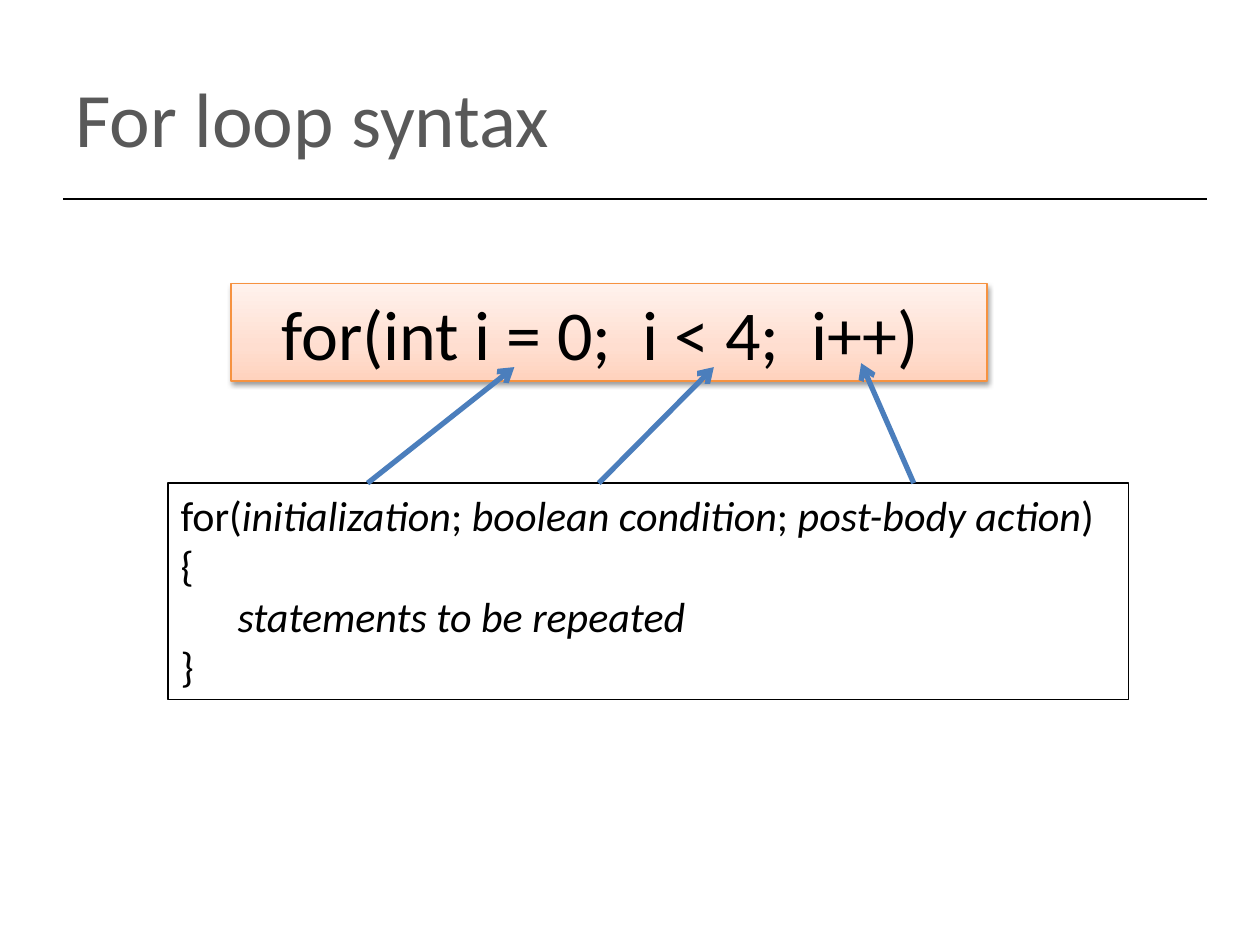
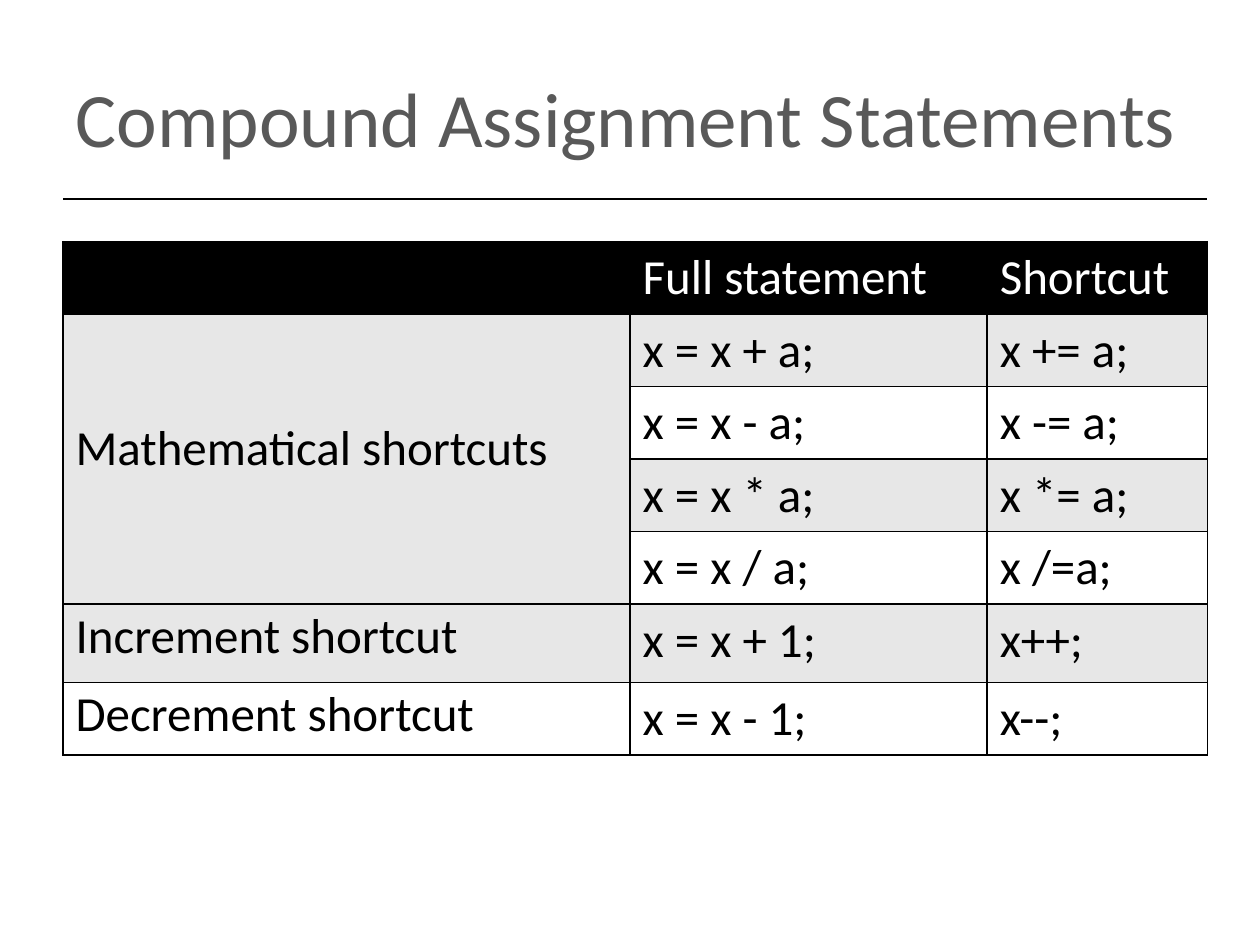
"""Build two slides on for loop syntax and compound assignment in Java."""
from copy import deepcopy

from lxml.etree import SubElement
from pptx import Presentation
from pptx.dml.color import RGBColor
from pptx.enum.shapes import MSO_CONNECTOR, MSO_SHAPE
from pptx.enum.text import MSO_ANCHOR, PP_ALIGN
from pptx.oxml import parse_xml
from pptx.oxml.ns import nsdecls, qn
from pptx.util import Cm, Pt

BLACK = RGBColor(0x00, 0x00, 0x00)
WHITE = RGBColor(0xFF, 0xFF, 0xFF)
TITLE_GRAY = RGBColor(0x59, 0x59, 0x59)
BAND_GRAY = RGBColor(0xE7, 0xE7, 0xE7)
ORANGE = RGBColor(0xF6, 0x92, 0x40)
ARROW_BLUE = RGBColor(0x4B, 0x7E, 0xBC)
PEACH_STOPS = [
    (0, RGBColor(0xFF, 0xD2, 0xBD)),
    (0.35, RGBColor(0xFF, 0xDE, 0xD0)),
    (1, RGBColor(0xFF, 0xF2, 0xED)),
]
FONT = "Calibri"
LEFT = 1.27
RULE_RIGHT = 24.34
RULE_TOP = 4.02

LOOP_TITLE = "For loop syntax"
LOOP_EXAMPLE = "for(int i = 0;  i < 4;  i++)"
LOOP_SYNTAX = [
    [("for(", False), ("initialization", True), ("; ", False),
     ("boolean condition", True), ("; ", False),
     ("post-body action", True), (")", False)],
    [("{", False)],
    [("statements to be repeated", True)],
    [("}", False)],
]
BODY_LINE = 2
EXAMPLE_BOX = (4.66, 5.72, 15.24, 1.96)
SYNTAX_BOX = (3.39, 9.74, 19.36, 4.37)
SYNTAX_ARROWS = [
    (7.41, 10.37, 7.4),
    (12.07, 14.39, 7.4),
    (18.42, 17.36, 7.32),
]

TABLE_TITLE = "Compound Assignment Statements"
STATEMENTS = [
    ("", "Full statement", "Shortcut"),
    ("Mathematical shortcuts", "x = x + a;", "x += a;"),
    ("", "x = x - a;", "x -= a;"),
    ("", "x = x * a;", "x *= a;"),
    ("", "x = x / a;", "x /=a;"),
    ("Increment shortcut", "x = x + 1;", "x++;"),
    ("Decrement shortcut", "x = x - 1;", "x--;"),
]
MATH_ROWS = (1, 4)
COLUMN_WIDTHS = [11.43, 7.2, 4.44]
ROW_HEIGHTS = [1.46] * 5 + [1.58, 1.46]
TABLE_TOP = 4.87


def format_font(font, size, color, italic=False):
    font.name = FONT
    font.size = Pt(size)
    font.bold = False
    font.italic = italic
    font.color.rgb = color


def add_line(slide, start, end, color, width):
    points = [Cm(value) for value in (*start, *end)]
    line = slide.shapes.add_connector(MSO_CONNECTOR.STRAIGHT, *points)
    line.line.color.rgb = color
    line.line.width = Pt(width)
    SubElement(line._element.spPr, qn("a:effectLst"))
    return line


def add_titled_slide(presentation, title_text):
    slide = presentation.slides.add_slide(presentation.slide_layouts[5])
    title = slide.shapes.title
    title.left, title.top = Cm(LEFT), Cm(0.76)
    title.width, title.height = Cm(22.86), Cm(3.18)
    title.text_frame.text = title_text
    title.text_frame.vertical_anchor = MSO_ANCHOR.MIDDLE
    paragraph = title.text_frame.paragraphs[0]
    paragraph.alignment = PP_ALIGN.LEFT
    format_font(paragraph.runs[0].font, 44, TITLE_GRAY)
    add_line(slide, (LEFT, RULE_TOP), (RULE_RIGHT, RULE_TOP), BLACK, 1)
    return slide


def add_box(slide, box, line_color):
    shape = slide.shapes.add_shape(MSO_SHAPE.RECTANGLE, *map(Cm, box))
    shape.shadow.inherit = False
    shape.line.color.rgb = line_color
    shape.line.width = Pt(0.75)
    return shape


def fill_peach_gradient(shape):
    shape.fill.gradient()
    shape.fill.gradient_angle = 90
    first = shape.fill.gradient_stops[0]._gs
    first.addnext(deepcopy(first))
    for stop, (position, color) in zip(shape.fill.gradient_stops, PEACH_STOPS):
        stop.position = position
        stop.color.rgb = color


def add_soft_shadow(shape):
    effects = shape._element.spPr.find(qn("a:effectLst"))
    effects.append(parse_xml(
        f'<a:outerShdw {nsdecls("a")} blurRad="{Pt(3.1)}" dist="{Pt(1.6)}" '
        'dir="5400000" rotWithShape="0"><a:srgbClr val="000000">'
        '<a:alpha val="38000"/></a:srgbClr></a:outerShdw>'))


def add_example(slide):
    shape = add_box(slide, EXAMPLE_BOX, ORANGE)
    fill_peach_gradient(shape)
    add_soft_shadow(shape)
    shape.text_frame.text = LOOP_EXAMPLE
    shape.text_frame.margin_right = Cm(0.61)
    paragraph = shape.text_frame.paragraphs[0]
    paragraph.alignment = PP_ALIGN.CENTER
    format_font(paragraph.runs[0].font, 40, BLACK)


def add_syntax(slide):
    shape = add_box(slide, SYNTAX_BOX, BLACK)
    shape.fill.background()
    frame = shape.text_frame
    frame.word_wrap = False
    frame.vertical_anchor = MSO_ANCHOR.TOP
    for index, pieces in enumerate(LOOP_SYNTAX):
        paragraph = frame.add_paragraph() if index else frame.paragraphs[0]
        paragraph.alignment = PP_ALIGN.LEFT
        if index == BODY_LINE:
            paragraph._p.get_or_add_pPr().set("marL", str(Cm(1.15)))
        for text, italic in pieces:
            run = paragraph.add_run()
            run.text = text
            format_font(run.font, 24, BLACK, italic)


def build_loop_slide(presentation):
    slide = add_titled_slide(presentation, LOOP_TITLE)
    add_example(slide)
    add_syntax(slide)
    for start_left, end_left, end_top in SYNTAX_ARROWS:
        arrow = add_line(slide, (start_left, SYNTAX_BOX[1]),
                         (end_left, end_top), ARROW_BLUE, 3)
        SubElement(arrow.line._get_or_add_ln(), qn("a:tailEnd"), type="arrow")


def add_borders(cell):
    properties = cell._tc.get_or_add_tcPr()
    for side in ("lnL", "lnR", "lnT", "lnB"):
        properties.append(parse_xml(
            f'<a:{side} {nsdecls("a")} w="{Pt(1)}"><a:solidFill>'
            f'<a:srgbClr val="{BLACK}"/></a:solidFill></a:{side}>'))


def format_cell(cell, row, column, text):
    add_borders(cell)
    cell.fill.solid()
    band = BAND_GRAY if row % 2 else WHITE
    cell.fill.fore_color.rgb = band if row else BLACK
    if text:
        cell.text_frame.text = text
        paragraph = cell.text_frame.paragraphs[0]
        format_font(paragraph.runs[0].font, 28, BLACK if row else WHITE)
        if column == 0:
            paragraph.line_spacing = 0.9


def build_table_slide(presentation):
    slide = add_titled_slide(presentation, TABLE_TITLE)
    table = slide.shapes.add_table(
        len(STATEMENTS), len(COLUMN_WIDTHS), Cm(LEFT), Cm(TABLE_TOP),
        Cm(sum(COLUMN_WIDTHS)), Cm(sum(ROW_HEIGHTS))).table
    table.first_row = table.horz_banding = False
    for column, width in zip(table.columns, COLUMN_WIDTHS):
        column.width = Cm(width)
    for row, height in zip(table.rows, ROW_HEIGHTS):
        row.height = Cm(height)
    for row, texts in enumerate(STATEMENTS):
        for column, text in enumerate(texts):
            format_cell(table.cell(row, column), row, column, text)
    first, last = MATH_ROWS
    math_cell = table.cell(first, 0)
    math_cell.merge(table.cell(last, 0))
    math_cell.vertical_anchor = MSO_ANCHOR.MIDDLE
    math_cell.margin_bottom = Cm(0.53)


def main():
    presentation = Presentation()
    presentation.slide_width, presentation.slide_height = Cm(25.4), Cm(19.05)
    build_loop_slide(presentation)
    build_table_slide(presentation)
    presentation.save("out.pptx")


if __name__ == "__main__":
    main()
